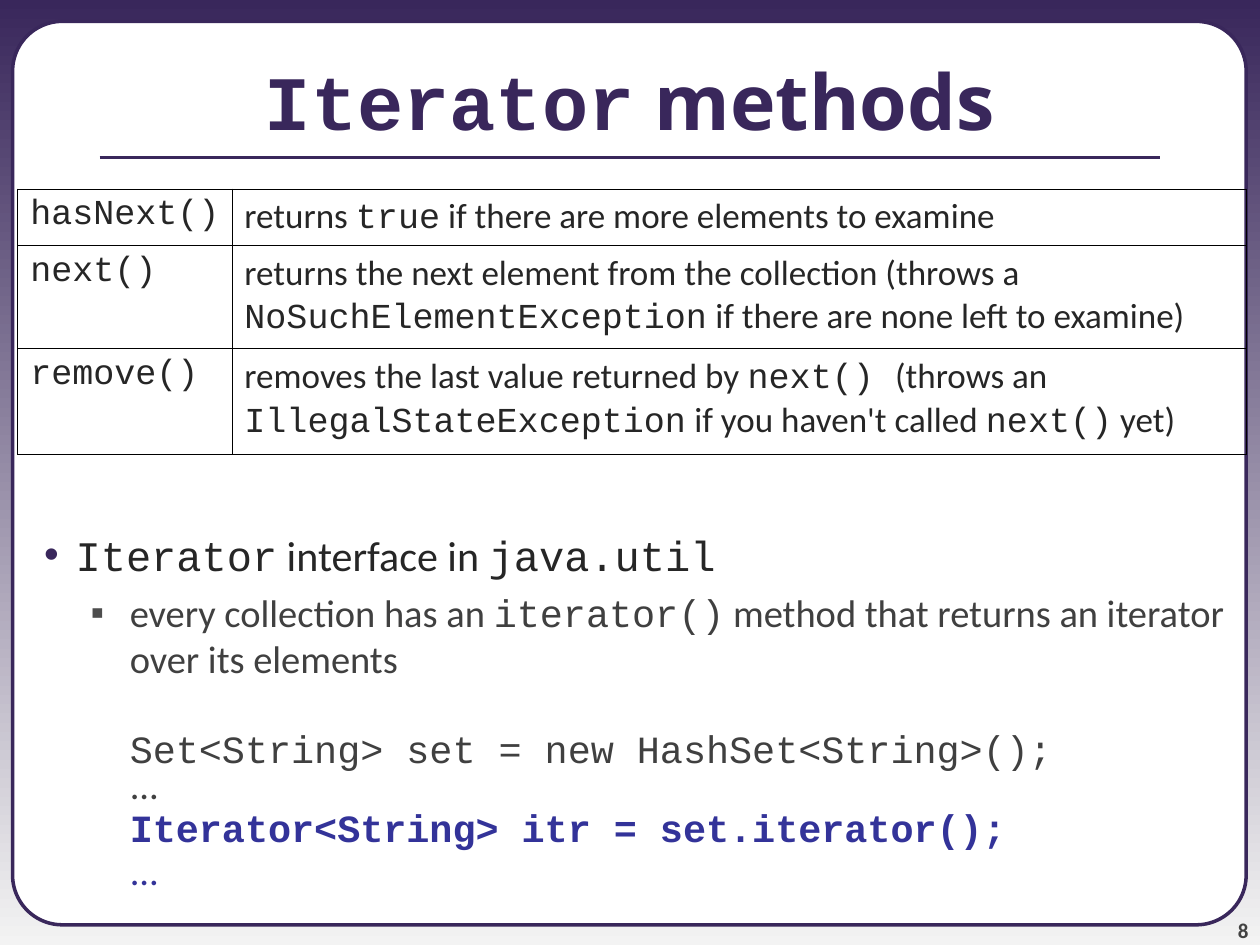
"""Build a slide on the methods of the Iterator interface."""
import lxml.etree
import pptx
import pptx.dml.color
import pptx.enum.shapes
import pptx.enum.text
import pptx.oxml.ns
import pptx.util

Inches, Pt = pptx.util.Inches, pptx.util.Pt
align = pptx.enum.text.PP_ALIGN
anchor = pptx.enum.text.MSO_ANCHOR
qn = pptx.oxml.ns.qn
colors = {
    "plum": "39275B", "mist": "F3F3F3", "white": "FFFFFF", "ink": "262626",
    "gray": "404040", "mark": "4D4D4D", "blue": "333399", "page": "424242",
    "black": "000000",
}


def rgb(name):
    return pptx.dml.color.RGBColor.from_string(colors[name])


def write(par, text, size, color, face="Calibri", bold=False):
    """Write text into a paragraph; parts between backticks are code."""
    for index, part in enumerate(text.split("`")):
        if part:
            run = par.add_run()
            run.text = part
            run.font.name = "Courier New" if index % 2 else face
            run.font.size = Pt(size)
            run.font.bold = bold
            run.font.color.rgb = rgb(color)


deck = pptx.Presentation()
deck.slide_width, deck.slide_height = Inches(10), Inches(7.5)
slide = deck.slides.add_slide(deck.slide_layouts[1])
shapes = slide.shapes
title, body = slide.placeholders

back = slide.background.fill
back.gradient()
back.gradient_angle = 270
for stop, name, place in zip(back.gradient_stops, ("plum", "mist"), (0, 1)):
    stop.color.rgb = rgb(name)
    stop.position = place

panel = shapes.add_shape(
    pptx.enum.shapes.MSO_SHAPE.ROUNDED_RECTANGLE,
    Inches(0.1), Inches(0.17), Inches(9.79), Inches(7.17))
panel.adjustments[0] = 0.055
panel.shadow.inherit = False
panel.fill.solid()
panel.fill.fore_color.rgb = rgb("white")
panel.line.color.rgb = rgb("plum")
panel.line.width = Pt(2)
title.element.addprevious(panel.element)

rule = shapes.add_connector(
    pptx.enum.shapes.MSO_CONNECTOR.STRAIGHT,
    Inches(0.79), Inches(1.25), Inches(9.21), Inches(1.25))
rule.line.color.rgb = rgb("plum")
rule.line.width = Pt(2.25)
lxml.etree.SubElement(rule.element.spPr, qn("a:effectLst"))

title.left, title.top = Inches(0), Inches(0.17)
title.width, title.height = Inches(10), Inches(1.25)
frame = title.text_frame
frame.auto_size = pptx.enum.text.MSO_AUTO_SIZE.NONE
frame.vertical_anchor = anchor.MIDDLE
frame.paragraphs[0].alignment = align.CENTER
write(frame.paragraphs[0], "`Iterator` methods", 44, "plum", face="Open Sans", bold=True)

rows = [
    ("`hasNext()`", "returns `true` if there are more elements to examine", 0.43),
    ("`next()`", "returns the next element from the collection (throws a "
     "`NoSuchElementException` if there are none left to examine)", 0.82),
    ("`remove()`", "removes the last value returned by `next() `(throws an "
     "`IllegalStateException` if you haven't called `next()` yet)", 0.84),
]
table = shapes.add_table(
    len(rows), 2, Inches(0.14), Inches(1.5), Inches(9.75), Inches(2.09)).table
table.first_row = table.horz_banding = False
table.columns[0].width, table.columns[1].width = Inches(1.7), Inches(8.05)
for row, (*texts, height) in zip(table.rows, rows):
    row.height = Inches(height)
    for cell, text in zip(row.cells, texts):
        cell.margin_right = Inches(0.05)
        props = cell._tc.get_or_add_tcPr()
        for side in ("L", "R", "T", "B"):
            edge = lxml.etree.SubElement(props, qn(f"a:ln{side}"), w=str(Pt(0.45)))
            fill = lxml.etree.SubElement(edge, qn("a:solidFill"))
            lxml.etree.SubElement(fill, qn("a:srgbClr"), val=colors["black"])
        cell.fill.background()
        write(cell.text_frame.paragraphs[0], text, 20, "ink")

body.left, body.top = Inches(0), Inches(4.15)
body.width, body.height = Inches(10), Inches(3.1)
frame = body.text_frame
frame.auto_size = pptx.enum.text.MSO_AUTO_SIZE.NONE
lines = [
    ("`Iterator` interface in `java.util`", 0, "•", 0, 1, 24, "ink", False),
    ("every collection has an `iterator()` method that returns an iterator "
     "over its elements", 1, "▪", 5.5, 1, 22, "gray", False),
    ("`Set<String> set = new HashSet<String>();`", 1, "", 30, 0.8, 22, "gray", False),
    ("...", 1, "", 5.5, 0.5, 22, "gray", False),
    ("`Iterator<String> itr = set.iterator();`", 1, "", 5.5, 0.8, 22, "blue", True),
    ("...", 1, "", 5.5, 0.7, 22, "blue", False),
]
for index, (text, level, mark, before, spacing, size, color, bold) in enumerate(lines):
    par = frame.add_paragraph() if index else frame.paragraphs[0]
    par.level = level
    par.space_before = Pt(before)
    par.line_spacing = spacing
    props = par._p.get_or_add_pPr()
    props.set("marL", str(Inches((0.5, 0.93)[level])))
    props.set("indent", str(Inches((-0.25, -0.31)[level]) if mark else 0))
    if mark:
        tint = lxml.etree.SubElement(props, qn("a:buClr"))
        lxml.etree.SubElement(
            tint, qn("a:srgbClr"), val=colors[("plum", "mark")[level]])
        lxml.etree.SubElement(props, qn("a:buChar"), char=mark)
    else:
        lxml.etree.SubElement(props, qn("a:buNone"))
    write(par, text, size, color, bold=bold)

page = shapes.add_textbox(Inches(9.08), Inches(7.08), Inches(0.83), Inches(0.4))
frame = page.text_frame
frame.word_wrap = True
frame.vertical_anchor = anchor.BOTTOM
frame.margin_left = frame.margin_right = frame.margin_top = frame.margin_bottom = 0
frame.paragraphs[0].alignment = align.RIGHT
write(frame.paragraphs[0], "8", 12, "page", bold=True)

deck.save("out.pptx")
